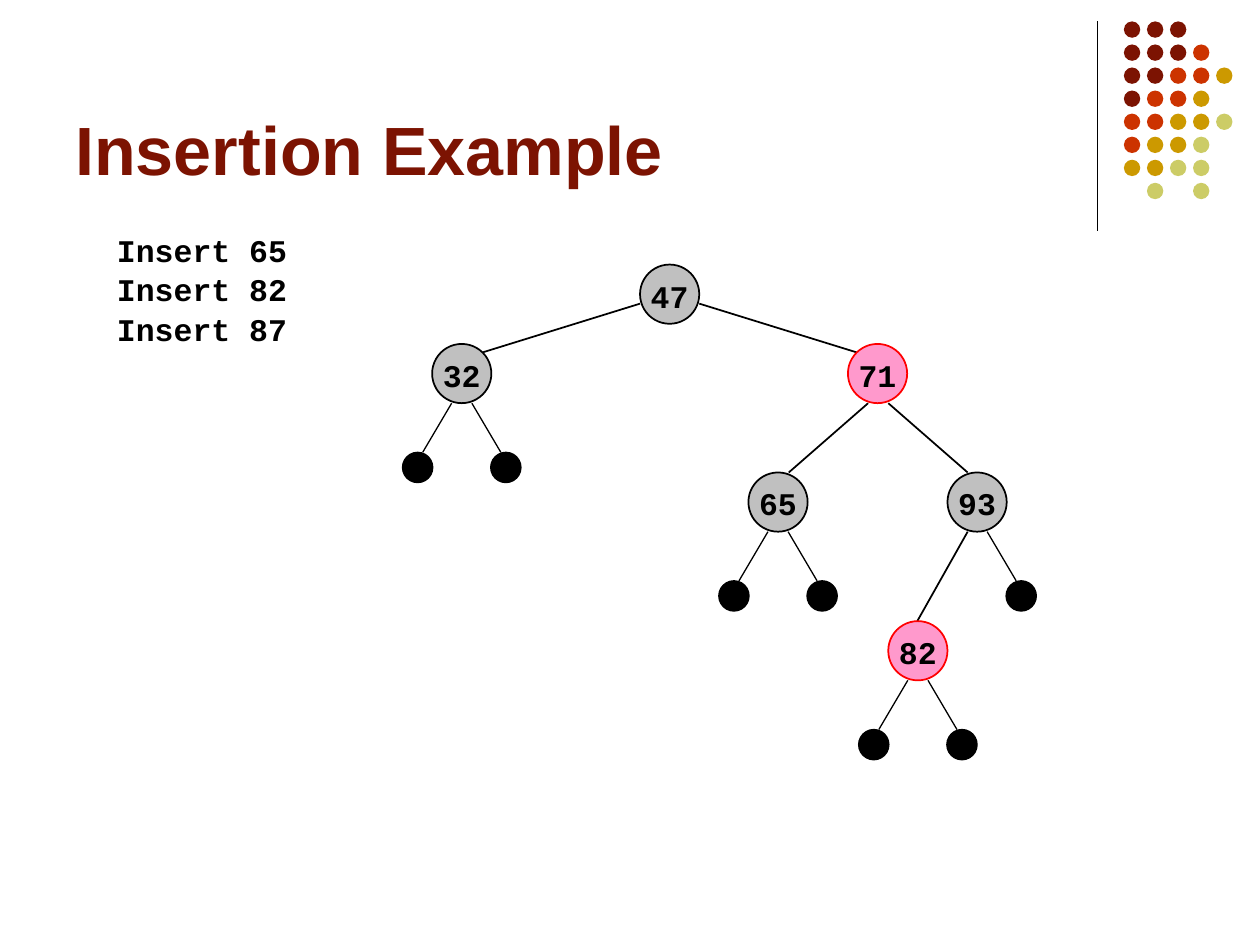
"""Build the red-black tree insertion example slide."""
from pptx import Presentation
from pptx.dml.color import RGBColor
from pptx.enum.shapes import MSO_CONNECTOR, MSO_SHAPE
from pptx.enum.text import MSO_ANCHOR, PP_ALIGN
from pptx.oxml.ns import qn
from pptx.util import Inches, Pt
from lxml import etree

STRAIGHT = MSO_CONNECTOR.STRAIGHT
OVAL = MSO_SHAPE.OVAL
MIDDLE, BOTTOM = MSO_ANCHOR.MIDDLE, MSO_ANCHOR.BOTTOM
CENTER = PP_ALIGN.CENTER

BLACK = RGBColor(0x00, 0x00, 0x00)
GRAY = RGBColor(0xC0, 0xC0, 0xC0)
PINK = RGBColor(0xFF, 0x99, 0xCC)
RED = RGBColor(0xFF, 0x00, 0x00)
MAROON = RGBColor(0x7C, 0x13, 0x02)
RUST = RGBColor(0xCC, 0x33, 0x00)
GOLD = RGBColor(0xCC, 0x99, 0x00)
OLIVE = RGBColor(0xCC, 0xCC, 0x66)

NODE_SIZE = 0.47
LEAF_SIZE = 0.24
LEAF_DROP = 0.39
DOT_SIZE = 0.13
DOT_PITCH = 0.183

prs = Presentation()
prs.slide_width, prs.slide_height = Inches(10), Inches(7.5)
slide = prs.slides.add_slide(prs.slide_layouts[6])


def add_line(x1, y1, x2, y2, width):
    line = slide.shapes.add_connector(
        STRAIGHT, Inches(x1), Inches(y1), Inches(x2), Inches(y2))
    line.line.color.rgb = BLACK
    line.line.width = Pt(width)
    etree.SubElement(line._element.spPr, qn("a:effectLst"))


def add_circle(left, top, size, fill, outline=None, width=0.75):
    circle = slide.shapes.add_shape(
        OVAL, Inches(left), Inches(top), Inches(size), Inches(size))
    circle.shadow.inherit = False
    circle.fill.solid()
    circle.fill.fore_color.rgb = fill
    if outline is None:
        circle.line.fill.background()
    else:
        circle.line.color.rgb = outline
        circle.line.width = Pt(width)
    return circle


add_line(8.71, 0.17, 8.71, 1.83, 0.75)
dot_colors = {"M": MAROON, "R": RUST, "G": GOLD, "O": OLIVE}
dot_rows = ["MMM", "MMMR", "MMRRG", "MRRG", "RRGGO", "RGGO", "GGOO", ".O.O"]
for row, letters in enumerate(dot_rows):
    for column, letter in enumerate(letters):
        if letter in dot_colors:
            add_circle(8.92 + column * DOT_PITCH, 0.17 + row * DOT_PITCH,
                       DOT_SIZE, dot_colors[letter])

captions = [("Insertion Example", 0.5, 0.13, 8.25, 1.42, 39, "Arial", MAROON)]
for step, key in enumerate((65, 82, 87)):
    captions.append((f"Insert {key}", 0.83, 1.78 + step * 0.315, 2.6, 0.4,
                     18, "Courier New", BLACK))
for text, left, top, width, height, size, font, color in captions:
    caption = slide.shapes.add_textbox(
        Inches(left), Inches(top), Inches(width), Inches(height)).text_frame
    caption.word_wrap = True
    caption.vertical_anchor = BOTTOM
    run = caption.paragraphs[0].add_run()
    run.text = text
    run.font.size, run.font.name, run.font.bold = Pt(size), font, True
    run.font.color.rgb = color

edges = [
    (5.08, 2.41, 3.82, 2.8),
    (5.55, 2.41, 6.81, 2.8),
    (6.89, 3.2, 6.26, 3.75),
    (7.05, 3.2, 7.68, 3.75),
    (7.28, 4.93, 7.68, 4.22),
]
for edge in edges:
    add_line(*edge, 1)

LEFT, RIGHT = -1, 1
nodes = [
    ("47", 5.08, 2.1, GRAY, BLACK, ()),
    ("32", 3.43, 2.73, GRAY, BLACK, (LEFT, RIGHT)),
    ("71", 6.73, 2.73, PINK, RED, ()),
    ("65", 5.94, 3.75, GRAY, BLACK, (LEFT, RIGHT)),
    ("93", 7.52, 3.75, GRAY, BLACK, (RIGHT,)),
    ("82", 7.05, 4.93, PINK, RED, (LEFT, RIGHT)),
]
for key, left, top, fill, outline, leaf_sides in nodes:
    node = add_circle(left, top, NODE_SIZE, fill, outline, 1)
    label = node.text_frame
    label.word_wrap = False
    label.vertical_anchor = MIDDLE
    label.margin_left = label.margin_right = Inches(0.02)
    label.margin_top = Inches(0.02)
    label.margin_bottom = 0
    label.paragraphs[0].alignment = CENTER
    run = label.paragraphs[0].add_run()
    run.text = key
    run.font.size, run.font.name, run.font.bold = Pt(18), "Courier New", True
    run.font.color.rgb = BLACK

    center = left + NODE_SIZE / 2
    bottom = top + NODE_SIZE
    for side in leaf_sides:
        add_line(center + side * 0.08, bottom,
                 center + side * 0.31, bottom + LEAF_DROP, 0.75)
        add_circle(center + side * 0.35 - LEAF_SIZE / 2, bottom + LEAF_DROP,
                   LEAF_SIZE, BLACK, BLACK)

prs.save("out.pptx")
